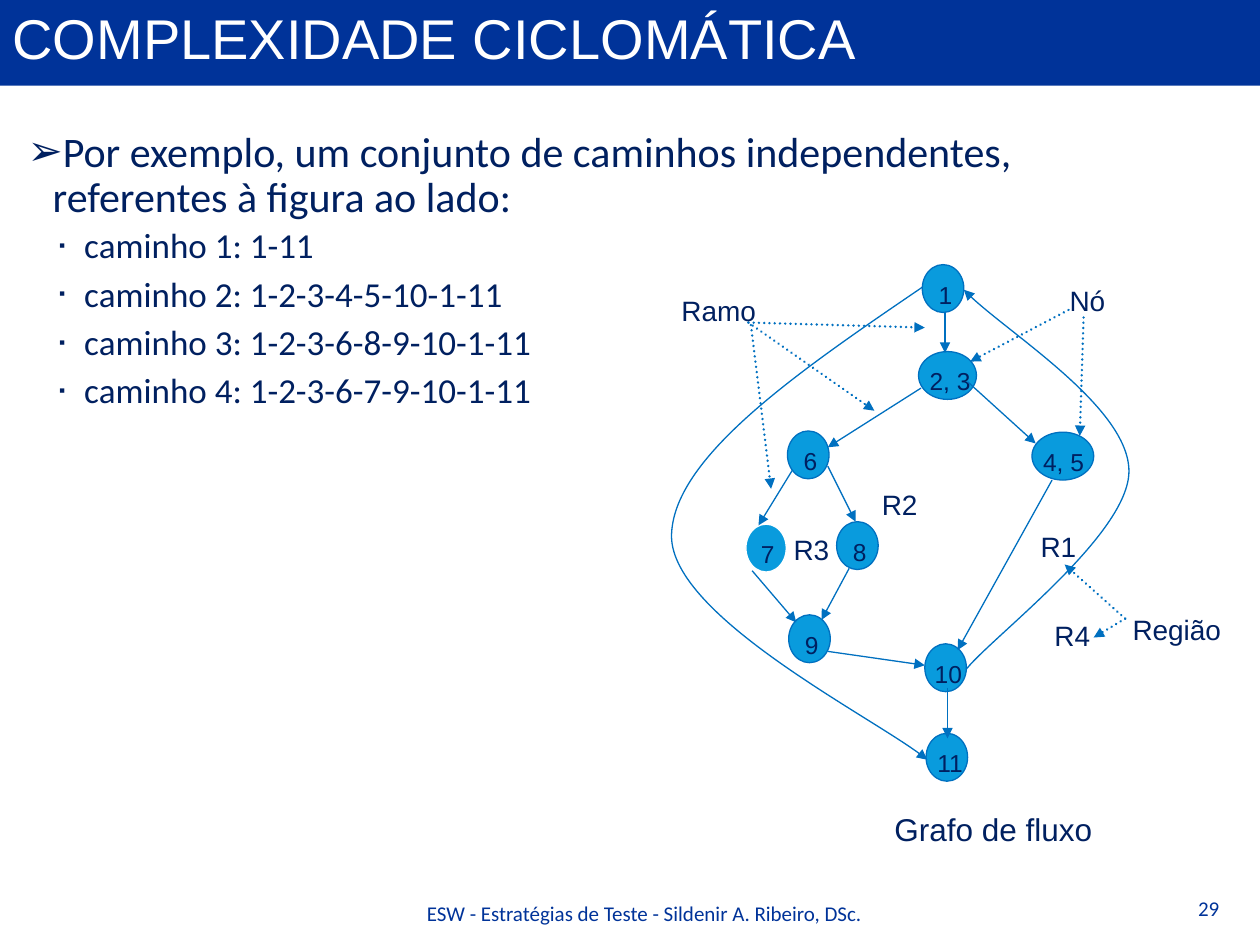
import pptx
import pptx.dml.color
import pptx.enum.dml
import pptx.enum.shapes
import pptx.enum.text
import pptx.oxml
import pptx.oxml.ns
import pptx.util
from lxml import etree

Inches, Pt = pptx.util.Inches, pptx.util.Pt
ALIGN = pptx.enum.text.PP_ALIGN
ANCHOR = pptx.enum.text.MSO_ANCHOR
SHAPES = pptx.enum.shapes.MSO_SHAPE
NAVY, ROYAL, BLUE, SKY, WHITE = "002060", "003399", "0070C0", "099BDD", "FFFFFF"

# Content
TITLE = "COMPLEXIDADE CICLOMÁTICA"
INTRO = "Por exemplo, um conjunto de caminhos independentes, referentes à figura ao lado:"
ROUTES = ["1-11", "1-2-3-4-5-10-1-11", "1-2-3-6-8-9-10-1-11", "1-2-3-6-7-9-10-1-11"]
FOOTER = "ESW - Estratégias de Teste - Sildenir A. Ribeiro, DSc."
PAGE = "29"

# Nodes: label, left, top, width, outline, label left, label width
NODES = [
    ("7", 5.92, 4.16, 0.32, WHITE, 5.94, 0.31),
    ("1", 7.32, 2.10, 0.33, BLUE, 7.35, 0.32),
    ("2, 3", 7.29, 2.79, 0.46, BLUE, 7.28, 0.53),
    ("6", 6.25, 3.42, 0.33, BLUE, 6.28, 0.32),
    ("8", 6.64, 4.14, 0.33, BLUE, 6.67, 0.32),
    ("9", 6.26, 4.88, 0.33, BLUE, 6.29, 0.32),
    ("10", 7.34, 5.11, 0.33, BLUE, 7.32, 0.43),
    ("11", 7.35, 5.82, 0.33, BLUE, 7.34, 0.41),
    ("4, 5", 8.19, 3.43, 0.49, BLUE, 8.18, 0.55),
]
NODE_HEIGHT = 0.38

# Straight branches: start and end
BRANCHES = [
    ((7.5, 2.48), (7.5, 2.8)), ((7.31, 3.08), (6.57, 3.55)),
    ((7.68, 3.03), (8.22, 3.52)), ((6.29, 3.73), (6.02, 4.17)),
    ((6.57, 3.7), (6.79, 4.14)), ((5.97, 4.53), (6.32, 4.94)),
    ((6.74, 4.51), (6.52, 4.92)), ((8.35, 3.81), (7.6, 5.16)),
    ((6.57, 5.17), (7.34, 5.28)), ((7.52, 5.46), (7.52, 5.86)),
]
# Curved branches in hundredths of an inch: start, then three Bézier points per segment
CURVES = [
    [(732, 228), (632, 296), (533, 364), (533, 426), (534, 489), (702, 574), (736, 603)],
    [(767, 531), (788, 505), (896, 424), (896, 374), (896, 324), (793, 260), (765, 230)],
]
# Dotted pointers from a caption to what it names
POINTERS = [
    ((5.94, 2.56), (7.34, 2.6)), ((5.94, 2.56), (6.94, 3.26)),
    ((5.96, 2.58), (6.12, 3.88)), ((8.48, 2.46), (7.7, 2.87)),
    ((8.6, 2.52), (8.57, 3.46)), ((8.93, 4.91), (8.45, 4.48)),
    ((8.93, 4.91), (8.68, 5.06)),
]
# Captions: text, left, top, width, size
CAPTIONS = [
    ("Região", 8.89, 4.81, 0.9, 16), ("Ramo", 5.31, 2.28, 0.79, 16),
    ("Nó", 8.39, 2.2, 0.51, 16), ("R1", 8.16, 4.15, 0.51, 16),
    ("R4", 8.27, 4.86, 0.51, 16), ("R2", 6.9, 3.82, 0.51, 16),
    ("R3", 6.2, 4.18, 0.51, 16), ("Grafo de fluxo", 7, 6.38, 1.77, 18),
]


def color(value):
    return pptx.dml.color.RGBColor.from_string(value)


def add_child(parent, tag, **attributes):
    child = etree.SubElement(parent, pptx.oxml.ns.qn(tag))
    for name, value in attributes.items():
        child.set(name, value)
    return child


def style_font(paragraph, size, name, value):
    paragraph.font.size = Pt(size)
    paragraph.font.name = name
    paragraph.font.color.rgb = color(value)


def add_text(slide, text, box, size, name="Arial", value=NAVY, align=ALIGN.LEFT, wrap=False):
    shape = slide.shapes.add_textbox(*map(Inches, box))
    shape.text_frame.word_wrap = wrap
    paragraph = shape.text_frame.paragraphs[0]
    paragraph.text = text
    paragraph.alignment = align
    style_font(paragraph, size, name, value)


def style_arrow(shape, width=0.75, dotted=False):
    shape.line.color.rgb = color(BLUE)
    shape.line.width = Pt(width)
    outline = shape.line._get_or_add_ln()
    if dotted:
        shape.line.dash_style = pptx.enum.dml.MSO_LINE.ROUND_DOT
        outline.set("cap", "rnd")
    add_child(outline, "a:tailEnd", type="triangle")


def add_arrow(slide, start, end, width=0.75, dotted=False):
    connector = slide.shapes.add_connector(
        pptx.enum.shapes.MSO_CONNECTOR.STRAIGHT, *map(Inches, start + end))
    style_arrow(connector, width, dotted)
    add_child(connector._element.spPr, "a:effectLst")


def add_curve(slide, points):
    builder = slide.shapes.build_freeform(*points[0], scale=Inches(0.01))
    builder.add_line_segments(points[1:], close=False)
    shape = builder.convert_to_shape()
    shape.shadow.inherit = False
    shape.fill.background()
    style_arrow(shape)
    # Every three line segments become one Bézier segment
    segments = shape._element.xpath(".//a:lnTo")
    outline = segments[0].getparent()
    for first in range(0, len(segments), 3):
        bezier = add_child(outline, "a:cubicBezTo")
        for segment in segments[first:first + 3]:
            bezier.append(segment[0])
            outline.remove(segment)


def add_bullet(paragraph, text, mark, level, size, margin, before, after, percent):
    paragraph.text = text
    paragraph.level = level
    paragraph.line_spacing = 0.9
    paragraph.space_before, paragraph.space_after = Pt(before), Pt(after)
    properties = paragraph._p.get_or_add_pPr()
    properties.set("marL", str(Inches(margin)))
    properties.set("indent", str(Inches(-0.2)))
    add_child(add_child(properties, "a:buClr"), "a:srgbClr", val=NAVY)
    add_child(properties, "a:buSzPct", val=str(percent * 1000))
    add_child(properties, "a:buFont", typeface="Arial")
    add_child(properties, "a:buChar", char=mark)
    style_font(paragraph, size, "Calibri", NAVY)


def add_title(slide):
    bar = slide.shapes.add_shape(SHAPES.RECTANGLE, 0, 0, Inches(10), Inches(0.68))
    bar.shadow.inherit = False
    bar.fill.solid()
    bar.fill.fore_color.rgb = color(ROYAL)
    bar.line.fill.background()
    bar.text_frame.vertical_anchor = ANCHOR.MIDDLE
    paragraph = bar.text_frame.paragraphs[0]
    paragraph.text = TITLE
    paragraph.alignment = ALIGN.LEFT
    paragraph.line_spacing = 0.85
    style_font(paragraph, 32, "Arial", WHITE)


def add_body(slide):
    body = slide.shapes.add_textbox(*map(Inches, (0.12, 0.99, 9.29, 2.83))).text_frame
    body.word_wrap = True
    add_bullet(body.paragraphs[0], INTRO, "➢", 0, 24, 0.2, 12, 2, 100)
    for number, route in enumerate(ROUTES, 1):
        add_bullet(body.add_paragraph(), f"caminho {number}: {route}", "▪", 1, 20, 0.45, 2, 4, 50)


def add_node(slide, label, left, top, width, outline, label_left, label_width):
    node = slide.shapes.add_shape(SHAPES.OVAL, *map(Inches, (left, top, width, NODE_HEIGHT)))
    node.shadow.inherit = False
    node.fill.solid()
    node.fill.fore_color.rgb = color(SKY)
    node.line.color.rgb = color(outline)
    node.line.width = Pt(0.75)
    add_text(slide, label, (label_left, top + 0.07, label_width, 0.33), 14)


def main():
    presentation = pptx.Presentation()
    presentation.slide_width, presentation.slide_height = Inches(10), Inches(7.5)
    slide = presentation.slides.add_slide(presentation.slide_layouts[6])
    add_title(slide)
    add_body(slide)

    # Flow graph
    for node in NODES:
        add_node(slide, *node)
    for points in CURVES:
        add_curve(slide, points)
    for start, end in BRANCHES:
        add_arrow(slide, start, end)
    for start, end in POINTERS:
        add_arrow(slide, start, end, width=1.5, dotted=True)
    for text, left, top, width, size in CAPTIONS:
        add_text(slide, text, (left, top, width, 0.37), size)

    # Footer
    add_text(slide, FOOTER, (2.32, 7.1, 5.59, 0.4), 12, "Calibri", ROYAL, ALIGN.CENTER, True)
    add_text(slide, PAGE, (9.41, 7.06, 0.59, 0.4), 12, "Calibri", ROYAL, wrap=True)
    presentation.save("out.pptx")


if __name__ == "__main__":
    main()
